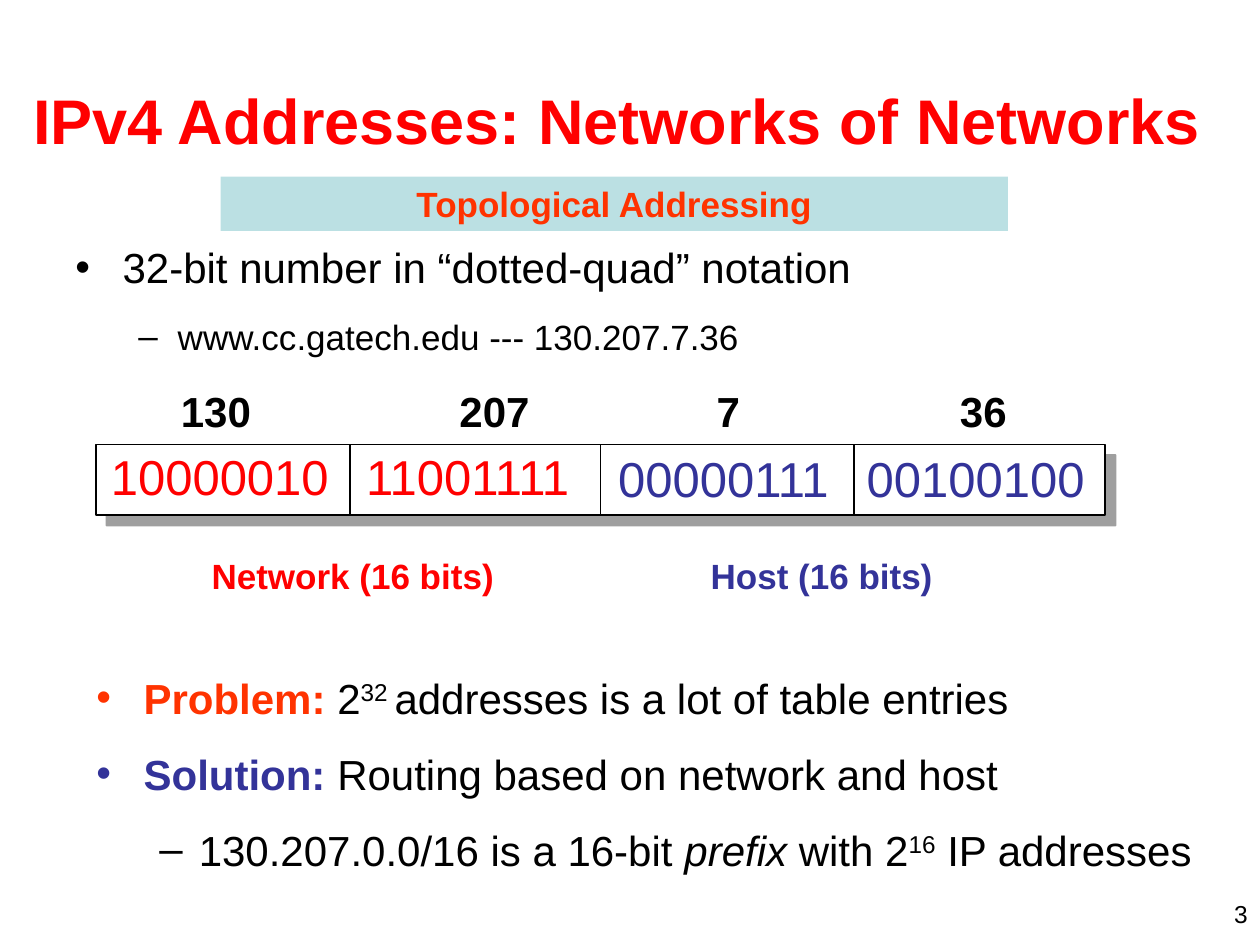
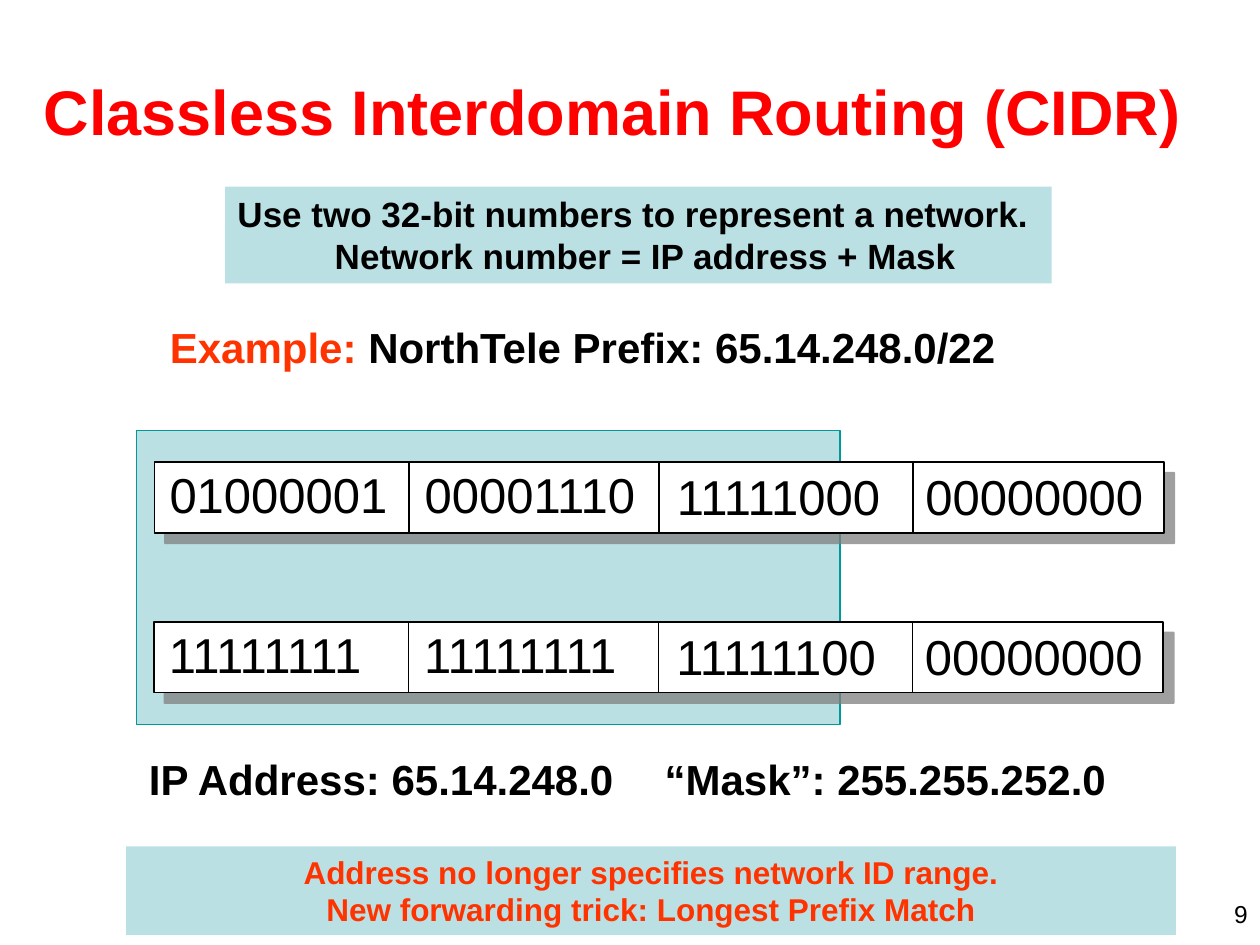
from lxml import etree
from pptx import Presentation
from pptx.dml.color import RGBColor
from pptx.enum.shapes import MSO_CONNECTOR as CONN, MSO_SHAPE as SHAPE
from pptx.enum.text import MSO_ANCHOR as ANCHOR, PP_ALIGN as ALIGN
from pptx.oxml.ns import qn
from pptx.util import Pt

RED, ORANGE, NAVY = "FF0000", "FF3300", "333399"
BLACK, WHITE, PALE, TEAL, GREY = "000000", "FFFFFF", "BBE0E3", "009999", "808080"


def rgb(color):
    return RGBColor.from_string(color)


def sub(parent, tag, **attrs):
    return etree.SubElement(parent, qn(tag), attrs)


def write(p, text, size=24, color=BLACK, bold=False, italic=False, base=0):
    for i, part in enumerate(text.split("\n")):
        if i:
            p.add_line_break()
        r = p.add_run()
        r.text = part
        f = r.font
        f.name, f.size, f.bold, f.italic = "Arial", Pt(size), bold, italic
        f.color.rgb = rgb(color)
        if base:
            r.font._element.set("baseline", str(base * 1000))


class Deck:
    def __init__(self):
        self.prs = Presentation()
        self.prs.slide_width, self.prs.slide_height = Pt(720), Pt(540)

    def slide(self, number, title, x, y, w):
        self.s = self.prs.slides.add_slide(self.prs.slide_layouts[6])
        self.shapes = self.s.shapes
        self.text(552, 510, 168, 18, str(number), size=14, align=ALIGN.RIGHT)
        self.text(x, y, w, 90, title, size=36, color=RED, bold=True, anchor=ANCHOR.MIDDLE)

    def frame(self, sp, anchor=ANCHOR.TOP):
        tf = sp.text_frame
        tf.word_wrap, tf.vertical_anchor = True, anchor
        return tf

    def text(self, x, y, w, h, text, align=ALIGN.LEFT, anchor=ANCHOR.TOP, **fmt):
        sp = self.shapes.add_textbox(Pt(x), Pt(y), Pt(w), Pt(h))
        p = self.frame(sp, anchor).paragraphs[0]
        p.alignment = align
        write(p, text, **fmt)
        return p

    def bullets(self, x, y, w, h, items):
        tf = self.frame(self.shapes.add_textbox(Pt(x), Pt(y), Pt(w), Pt(h)))
        for i, (level, color, runs) in enumerate(items):
            p = tf.add_paragraph() if i else tf.paragraphs[0]
            left, hang, mark = ((27, 27, "•"), (58.5, 22.5, "–"))[level]
            p.level, p.line_spacing = level, 1.3
            p.space_before = Pt(6 if i else 0)
            pr = p._p.get_or_add_pPr()
            pr.set("marL", str(Pt(left)))
            pr.set("indent", str(-Pt(hang)))
            sub(sub(pr, "a:buClr"), "a:srgbClr", val=color)
            sub(pr, "a:buFont", typeface="Arial")
            sub(pr, "a:buChar", char=mark)
            for text, fmt in runs:
                write(p, text, **fmt)

    def rect(self, x, y, w, h, fill=PALE, line=None):
        sp = self.shapes.add_shape(SHAPE.RECTANGLE, Pt(x), Pt(y), Pt(w), Pt(h))
        sp.shadow.inherit = False
        sp.fill.solid()
        sp.fill.fore_color.rgb = rgb(fill)
        if line:
            sp.line.color.rgb, sp.line.width = rgb(line), Pt(1)
        else:
            sp.line.fill.background()
        return sp

    def banner(self, x, y, w, h, lines, align=ALIGN.CENTER, **fmt):
        tf = self.frame(self.rect(x, y, w, h))
        for i, line in enumerate(lines):
            p = tf.add_paragraph() if i else tf.paragraphs[0]
            p.alignment = align
            write(p, line, bold=True, **fmt)
        return tf

    def line(self, x1, y1, x2, y2):
        c = self.shapes.add_connector(CONN.STRAIGHT, Pt(x1), Pt(y1), Pt(x2), Pt(y2))
        c.line.color.rgb, c.line.width = rgb(BLACK), Pt(1)
        sub(c._element.spPr, "a:effectLst")
        return c

    def drop_shadow(self, sp):
        effects = sp._element.spPr.find(qn("a:effectLst"))
        shadow = sub(effects, "a:outerShdw", blurRad="0", dist=str(Pt(8.5)),
                     dir="2700000", algn="ctr", rotWithShape="0")
        sub(sub(shadow, "a:srgbClr", val=GREY), "a:alpha", val="75000")

    def octets(self, x, y, values, colors=(BLACK,) * 4):
        h = 40.3
        self.shapes = self.s.shapes.add_group_shape().shapes
        bar = self.rect(x, y, 576.7, h, WHITE, BLACK)
        self.drop_shadow(bar)
        for dx in (145.4, 288.35, 433.4):
            c = self.line(x + dx, y, x + dx, y + h)
            if dx == 288.35:
                c.begin_connect(bar, 0)
                c.end_connect(bar, 2)
        for value, color, dx, dy in zip(values, colors, (1.5, 147.3, 291.4, 433.4),
                                        (2.2, 2.2, 1.2, 1.2)):
            self.text(x + dx, y - dy, 144, 41, value, size=28, color=color)
        self.shapes = self.s.shapes


def addresses(d):
    d.slide(3, "IPv4 Addresses: Networks of Networks", 12, 23, 690)
    d.bullets(36, 126, 648, 90, [
        (0, BLACK, [("32-bit number in “dotted-quad” notation", {})]),
        (1, BLACK, [("www.cc.gatech.edu --- 130.207.7.36", {"size": 20})]),
    ])
    d.octets(54.8, 254, ("10000010", "11001111", "00000111", "00100100"),
             (RED, RED, NAVY, NAVY))
    for x, text, color in ((113.8, "Network (16 bits)", RED), (399, "Host (16 bits)", NAVY)):
        d.text(x, 313.2, 183, 32, text, size=20, color=color, bold=True)
    for x, text in ((96.3, "130"), (255.5, "207"), (402.5, "7"), (541.5, "36")):
        d.text(x, 216.7, 58, 36, text, bold=True)
    d.bullets(48, 372, 672, 90, [
        (0, ORANGE, [("Problem:", {"color": ORANGE, "bold": True}), (" 2", {}),
                     ("32 ", {"base": 30}), ("addresses is a lot of table entries", {})]),
        (0, NAVY, [("Solution:", {"color": NAVY, "bold": True}),
                   (" Routing based on network and host", {})]),
        (1, BLACK, [("130.207.0.0/16 is a 16-bit ", {}), ("prefix", {"italic": True}),
                    (" with 2", {}), ("16", {"base": 30}), (" IP addresses", {})]),
    ])
    d.banner(126, 101, 450, 31, ["Topological Addressing"], size=20, color=ORANGE)


def cidr(d):
    d.slide(9, "Classless Interdomain Routing (CIDR)", 18, 18, 678)
    p = d.text(78, 427, 570, 36, "IP Address: 65.14.248.0\t“Mask”: 255.255.252.0", bold=True)
    sub(sub(p._p.get_or_add_pPr(), "a:tabLst"), "a:tab", pos=str(Pt(294.67)), algn="l")
    d.rect(78, 246, 402, 168, line=TEAL)
    d.octets(88.3, 264.2, ("01000001", "00001110", "11111000", "00000000"))
    d.octets(88, 355.5, ("11111111", "11111111", "11111100", "00000000"))
    tf = d.banner(128.6, 106.7, 472.4, 55.2,
                  ["Use two 32-bit numbers to represent a network.",
                   "Network number = IP address + Mask"], ALIGN.LEFT, size=20)
    tf.paragraphs[1]._p.get_or_add_pPr().set("marL", str(Pt(55.6)))
    p = d.text(90, 180, 504, 36, "Example:", color=ORANGE, bold=True)
    write(p, " NorthTele Prefix: 65.14.248.0/22", bold=True)
    d.banner(72, 483.7, 600, 50.5, ["Address no longer specifies network ID range.\n"
                                    "New forwarding trick: Longest Prefix Match"],
             size=18, color=ORANGE)


def main():
    d = Deck()
    addresses(d)
    cidr(d)
    d.prs.save("out.pptx")


if __name__ == "__main__":
    main()
